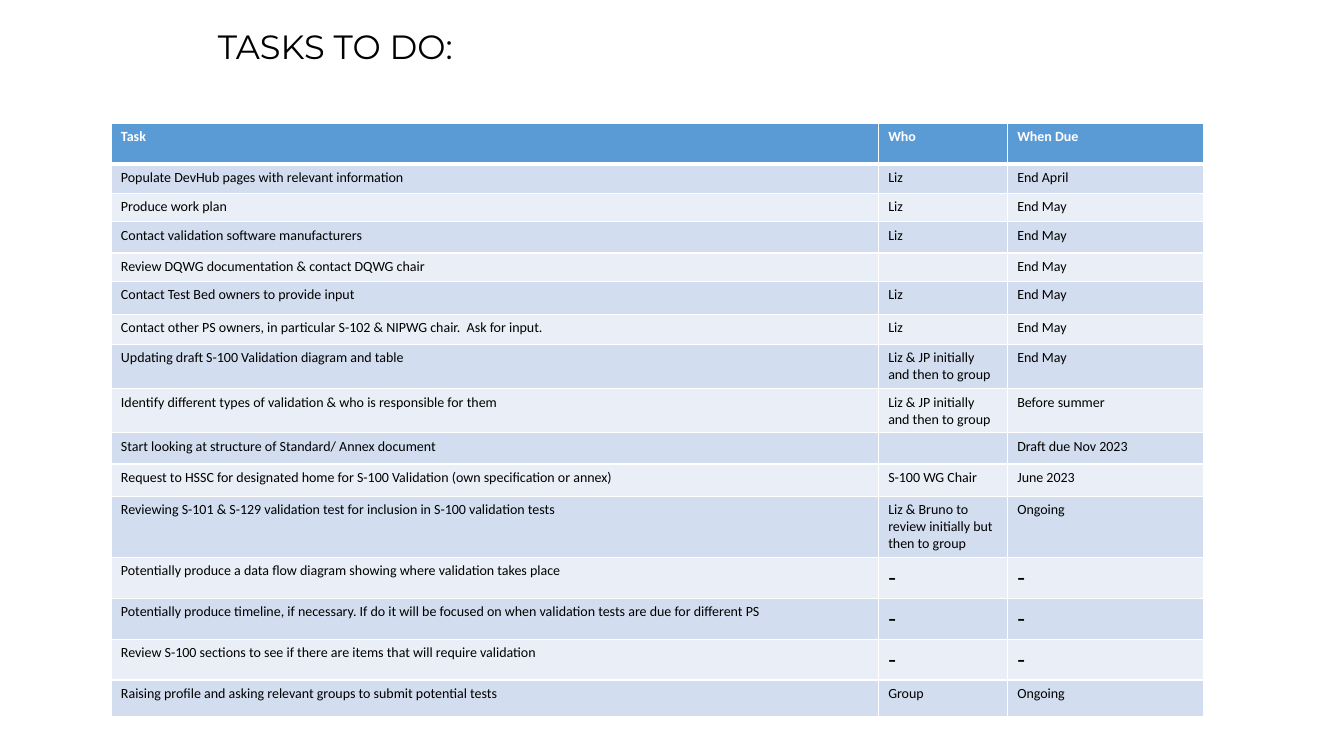
from dataclasses import dataclass

import pptx
import pptx.dml.color
import pptx.enum.text
import pptx.oxml
import pptx.oxml.ns
import pptx.util
from pptx.util import Inches


@dataclass(frozen=True)
class Theme:
    """Colours, fonts and type sizes of the slide."""
    black: str = "000000"
    white: str = "FFFFFF"
    header: str = "5B9BD5"
    bands: tuple = ("D2DEEF", "EAEFF7")
    title_font: str = "Montserrat"
    body_font: str = "Calibri"
    title_size: int = 24
    body_size: int = 10
    dash_size: int = 18
    thin_border: int = 1
    thick_border: int = 3


HEADINGS = ("Task", "Who", "When Due")
HEADER_HEIGHT = 0.41
COLUMN_WIDTHS = (7.61, 1.28, 1.95)
# Row height, task, who, when due
TASKS = (
    (0.29, "Populate DevHub pages with relevant information", "Liz", "End April"),
    (0.28, "Produce work plan", "Liz", "End May"),
    (0.31, "Contact validation software manufacturers", "Liz", "End May"),
    (0.28, "Review DQWG documentation & contact DQWG chair", "", "End May"),
    (0.33, "Contact Test Bed owners to provide input", "Liz", "End May"),
    (0.3, "Contact other PS owners, in particular S-102 & NIPWG chair.  Ask for input.",
     "Liz", "End May"),
    (0.43, "Updating draft S-100 Validation diagram and table",
     "Liz & JP initially and then to group", "End May"),
    (0.43, "Identify different types of validation & who is responsible for them",
     "Liz & JP initially and then to group", "Before summer"),
    (0.31, "Start looking at structure of Standard/ Annex document", "", "Draft due Nov 2023"),
    (0.32, "Request to HSSC for designated home for S-100 Validation "
     "(own specification or annex)", "S-100 WG Chair", "June 2023"),
    (0.6, "Reviewing S-101 & S-129 validation test for inclusion in S-100 validation tests",
     "Liz & Bruno to review initially but then to group", "Ongoing"),
    (0.4, "Potentially produce a data flow diagram showing where validation takes place",
     "-", "-"),
    (0.4, "Potentially produce timeline, if necessary. If do it will be focused on when "
     "validation tests are due for different PS", "-", "-"),
    (0.4, "Review S-100 sections to see if there are items that will require validation",
     "-", "-"),
    (0.36, "Raising profile and asking relevant groups to submit potential tests",
     "Group", "Ongoing"),
)


class SlideBuilder:
    """Holds the theme and the current slide and adds elements to it."""

    def __init__(self, slide, theme):
        """Keep the slide and its theme."""
        self.slide = slide
        self.theme = theme

    def format_text(self, paragraph, font_name, size, color, bold=False):
        """Format the runs of a paragraph, or its end mark when it is empty."""
        for run in paragraph.runs:
            run.font.name = font_name
            run.font.size = pptx.util.Pt(size)
            run.font.bold = bold
            run.font.color.rgb = pptx.dml.color.RGBColor.from_string(color)
        if not paragraph.runs:
            end_mark = pptx.oxml.parse_xml(
                f'<a:endParaRPr {pptx.oxml.ns.nsdecls("a")} sz="{size * 100}"/>')
            paragraph._p.append(end_mark)

    def add_title(self, text, left, top, width, height):
        """Place and format the title placeholder."""
        title = self.slide.shapes.title
        title.left, title.top = Inches(left), Inches(top)
        title.width, title.height = Inches(width), Inches(height)
        frame = title.text_frame
        frame.text = text
        frame.auto_size = pptx.enum.text.MSO_AUTO_SIZE.NONE
        frame.vertical_anchor = pptx.enum.text.MSO_ANCHOR.MIDDLE
        paragraph = frame.paragraphs[0]
        paragraph.alignment = pptx.enum.text.PP_ALIGN.LEFT
        paragraph.line_spacing = 0.9
        self.format_text(paragraph, self.theme.title_font, self.theme.title_size,
                         self.theme.black)

    def set_borders(self, cell, top, bottom):
        """Give a cell white borders, with top and bottom widths in points."""
        thin = self.theme.thin_border
        widths = {"lnL": thin, "lnR": thin, "lnT": top, "lnB": bottom}
        properties = cell._tc.get_or_add_tcPr()
        for index, (side, width) in enumerate(widths.items()):
            properties.insert(index, pptx.oxml.parse_xml(
                f'<a:{side} {pptx.oxml.ns.nsdecls("a")} w="{pptx.util.Pt(width)}">'
                f'<a:solidFill><a:srgbClr val="{self.theme.white}"/></a:solidFill>'
                f'</a:{side}>'))

    def fill_cell(self, cell, text, row_index):
        """Write and style one cell according to its row."""
        theme = self.theme
        is_header = row_index == 0
        fill = theme.header if is_header else theme.bands[(row_index - 1) % 2]
        cell.fill.solid()
        cell.fill.fore_color.rgb = pptx.dml.color.RGBColor.from_string(fill)
        self.set_borders(cell,
                         theme.thick_border if row_index == 1 else theme.thin_border,
                         theme.thick_border if is_header else theme.thin_border)
        cell.text_frame.text = text
        self.format_text(cell.text_frame.paragraphs[0], theme.body_font,
                         theme.dash_size if text == "-" else theme.body_size,
                         theme.white if is_header else theme.black, is_header)

    def add_table(self, rows, column_widths, left, top):
        """Add a banded table from rows of a height followed by cell texts."""
        height = sum(row[0] for row in rows)
        table = self.slide.shapes.add_table(
            len(rows), len(column_widths), Inches(left), Inches(top),
            Inches(sum(column_widths)), Inches(height)).table
        for column, width in zip(table.columns, column_widths):
            column.width = Inches(width)
        for row_index, (row_height, *texts) in enumerate(rows):
            table.rows[row_index].height = Inches(row_height)
            for column_index, text in enumerate(texts):
                self.fill_cell(table.cell(row_index, column_index), text, row_index)


def main():
    """Build the task slide and save it."""
    presentation = pptx.Presentation()
    presentation.slide_width = Inches(13.33)
    presentation.slide_height = Inches(7.5)
    slide = presentation.slides.add_slide(presentation.slide_layouts.get_by_name("Title Only"))
    builder = SlideBuilder(slide, Theme())
    builder.add_title("TASKS TO DO:", 2.06, 0, 11.27, 0.97)
    builder.add_table(((HEADER_HEIGHT, *HEADINGS), *TASKS), COLUMN_WIDTHS, 1.1, 1.22)
    presentation.save("out.pptx")


main()
